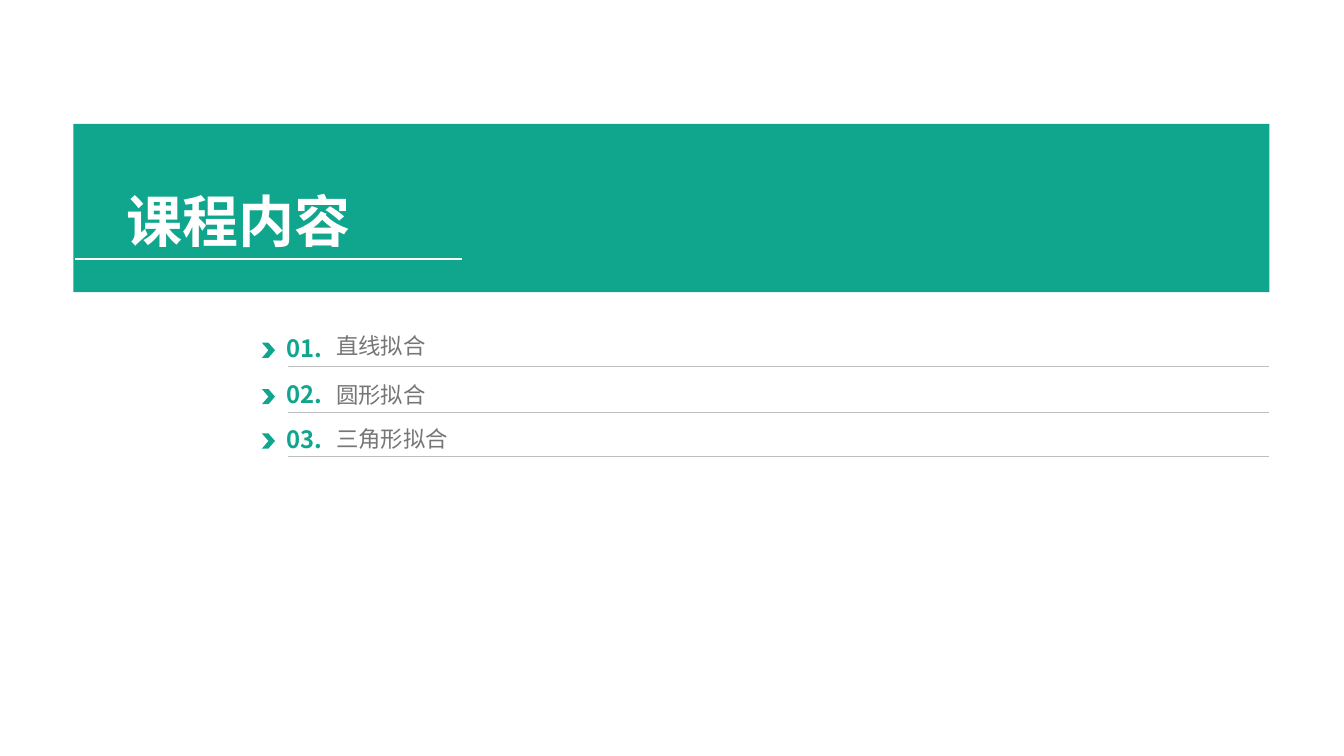
from lxml import etree
from pptx import Presentation
from pptx import util as u
from pptx.dml.color import RGBColor
from pptx.enum import shapes, text
from pptx.oxml.ns import qn

FONT = "Noto Sans CJK SC"
GREEN, GRAY, RULE, WHITE = "10A68E", "777676", "BFBFBF", "FFFFFF"


def color(code):
    return RGBColor.from_string(code)


def block(slide, kind, x, y, w, h):
    shape = slide.shapes.add_shape(
        kind, u.Inches(x), u.Inches(y), u.Inches(w), u.Inches(h))
    shape.shadow.inherit = False
    shape.fill.solid()
    shape.fill.fore_color.rgb = color(GREEN)
    shape.line.fill.background()


def rule(slide, x, y, w, code, width):
    line = slide.shapes.add_connector(
        shapes.MSO_CONNECTOR.STRAIGHT,
        u.Inches(x), u.Inches(y), u.Inches(x + w), u.Inches(y))
    line.line.color.rgb = color(code)
    line.line.width = u.Pt(width)
    etree.SubElement(line._element.spPr, qn("a:effectLst"))


def label(slide, x, y, w, h, words, size, code, bold=False,
          align=text.PP_ALIGN.LEFT, anchor=text.MSO_ANCHOR.TOP, space=1.0):
    box = slide.shapes.add_textbox(
        u.Inches(x), u.Inches(y), u.Inches(w), u.Inches(h))
    frame = box.text_frame
    frame.word_wrap = True
    frame.vertical_anchor = anchor
    frame.text = words
    para = frame.paragraphs[0]
    para.alignment = align
    para.line_spacing = space
    run = para.runs[0]
    run.font.size = u.Pt(size)
    run.font.bold = bold
    run.font.name = FONT
    run.font.color.rgb = color(code)
    # East Asian glyphs take their own typeface
    etree.SubElement(run._r.get_or_add_rPr(), qn("a:ea"), typeface=FONT)


def banner(slide, x, y, w, h, title):
    block(slide, shapes.MSO_SHAPE.RECTANGLE, x, y, w, h)
    label(slide, x, y + 0.57, 3.28, 0.77, title, 40, WHITE, True,
          text.PP_ALIGN.CENTER)
    rule(slide, x + 0.01, y + 1.34, 3.85, WHITE, 1.5)


def item(slide, x, y, w, number, topic, drop):
    block(slide, shapes.MSO_SHAPE.CHEVRON, x, y + 0.15, 0.13, 0.15)
    label(slide, x + 0.13, y, 0.59, 0.44, f"{number:02d}.", 17, GREEN, True,
          text.PP_ALIGN.CENTER, text.MSO_ANCHOR.MIDDLE, 0.9)
    rule(slide, x + 0.26, y + 0.38, w - 0.26, RULE, 0.25)
    label(slide, x + 0.64, y + drop, 8.06, 0.37, topic, 16, GRAY)


def agenda(slide, x, w, topics):
    for number, (topic, y, drop) in enumerate(topics, 1):
        item(slide, x, y, w, number, topic, drop)


def main():
    deck = Presentation()
    deck.slide_width = u.Inches(13.34)
    deck.slide_height = u.Inches(7.5)
    slide = deck.slides.add_slide(deck.slide_layouts[6])

    # Title band
    banner(slide, 0.73, 1.23, 11.87, 1.67, "课程内容")

    # Numbered topics: words, row top, drop of the words within the row
    agenda(slide, 2.6, 10, [
        ("直线拟合", 3.25, 0),
        ("圆形拟合", 3.71, 0.02),
        ("三角形拟合", 4.15, 0.02),
    ])
    deck.save("out.pptx")


if __name__ == "__main__":
    main()
